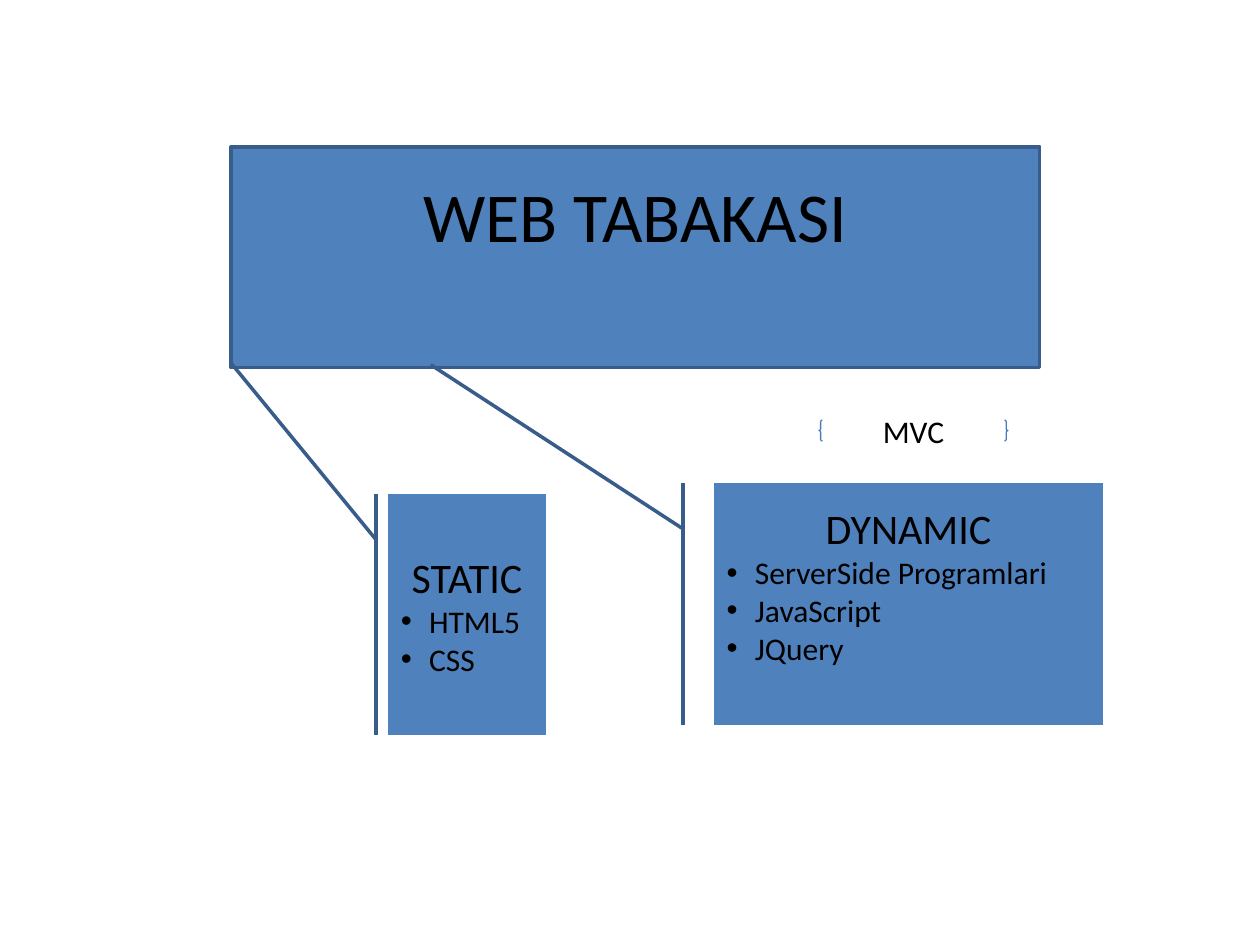
from lxml import etree
from pptx import Presentation
from pptx.dml.color import RGBColor
from pptx.enum import shapes, text
from pptx.oxml import ns
from pptx.util import Cm, Pt

BLUE = RGBColor(0x4F, 0x81, 0xBD)
NAVY = RGBColor(0x38, 0x5D, 0x8A)
BRACE_BLUE = RGBColor(0x4A, 0x7E, 0xBB)
BLACK = RGBColor(0, 0, 0)
BULLET_INDENT = Cm(0.57)

deck = Presentation()
deck.slide_width, deck.slide_height = Cm(25.4), Cm(19.05)
page = deck.slides.add_slide(deck.slide_layouts[6])


def add_box(kind, place, fill, line, width, bottom=0.13):
    box = page.shapes.add_shape(kind, *(Cm(length) for length in place))
    box.shadow.inherit = False
    if fill is None:
        box.fill.background()
    else:
        box.fill.solid()
        box.fill.fore_color.rgb = fill
    box.line.color.rgb = line
    box.line.width = Pt(width)
    frame = box.text_frame
    frame.word_wrap = True
    frame.vertical_anchor = text.MSO_ANCHOR.MIDDLE
    frame.margin_left = frame.margin_right = Cm(0.25)
    frame.margin_top, frame.margin_bottom = Cm(0.13), Cm(bottom)
    return box


def write(box, heading, size, items=()):
    """Fill the box with a centred heading and bulleted items."""
    frame = box.text_frame
    frame.text = "\n".join([heading, *items])
    for number, para in enumerate(frame.paragraphs):
        para.font.name = "Calibri"
        para.font.color.rgb = BLACK
        para.font.size = Pt(18 if number else size)
        para.alignment = text.PP_ALIGN.LEFT if number else text.PP_ALIGN.CENTER
        if number:
            props = para._p.get_or_add_pPr()
            props.set("marL", str(BULLET_INDENT))
            props.set("indent", str(-BULLET_INDENT))
            font = etree.Element(ns.qn("a:buFont"), typeface="Arial")
            bullet = etree.Element(ns.qn("a:buChar"), char="•")
            props.insert_element_before(font, "a:tabLst", "a:defRPr", "a:extLst")
            props.insert_element_before(bullet, "a:tabLst", "a:defRPr", "a:extLst")
        for span in para.runs:
            span.font.name = "Calibri"
            span.font.size = para.font.size
            span.font.color.rgb = BLACK


# Larger bottom margins lift the text above the middle of its box
layer = add_box(shapes.MSO_SHAPE.FLOWCHART_PROCESS,
                (4.66, 2.96, 16.3, 4.45), BLUE, NAVY, 2, bottom=1.85)
write(layer, "WEB TABAKASI", 40)

# Place, bottom margin, pointer (y, x at the bar; y, x at the layer), heading, items
callouts = [
    ((7.83, 9.95, 3.17, 4.87), 0.13, (0.19, -0.08, -0.54, -1),
     "STATIC", ["HTML5", "CSS"]),
    ((14.4, 9.74, 7.83, 4.87), 0.9, (0.19, -0.08, -0.49, -0.73),
     "DYNAMIC", ["ServerSide Programlari", "JavaScript", "JQuery"]),
]
for place, bottom, pointer, heading, items in callouts:
    callout = add_box(shapes.MSO_SHAPE.LINE_CALLOUT_1_ACCENT_BAR,
                      place, BLUE, NAVY, 2, bottom)
    for number, value in enumerate(pointer):
        callout.adjustments[number] = value
    write(callout, heading, 24, items)

braces = add_box(shapes.MSO_SHAPE.DOUBLE_BRACE,
                 (16.51, 8.47, 3.81, 0.42), None, BRACE_BLUE, 0.75)
write(braces, "MVC", 18)

deck.save("out.pptx")
